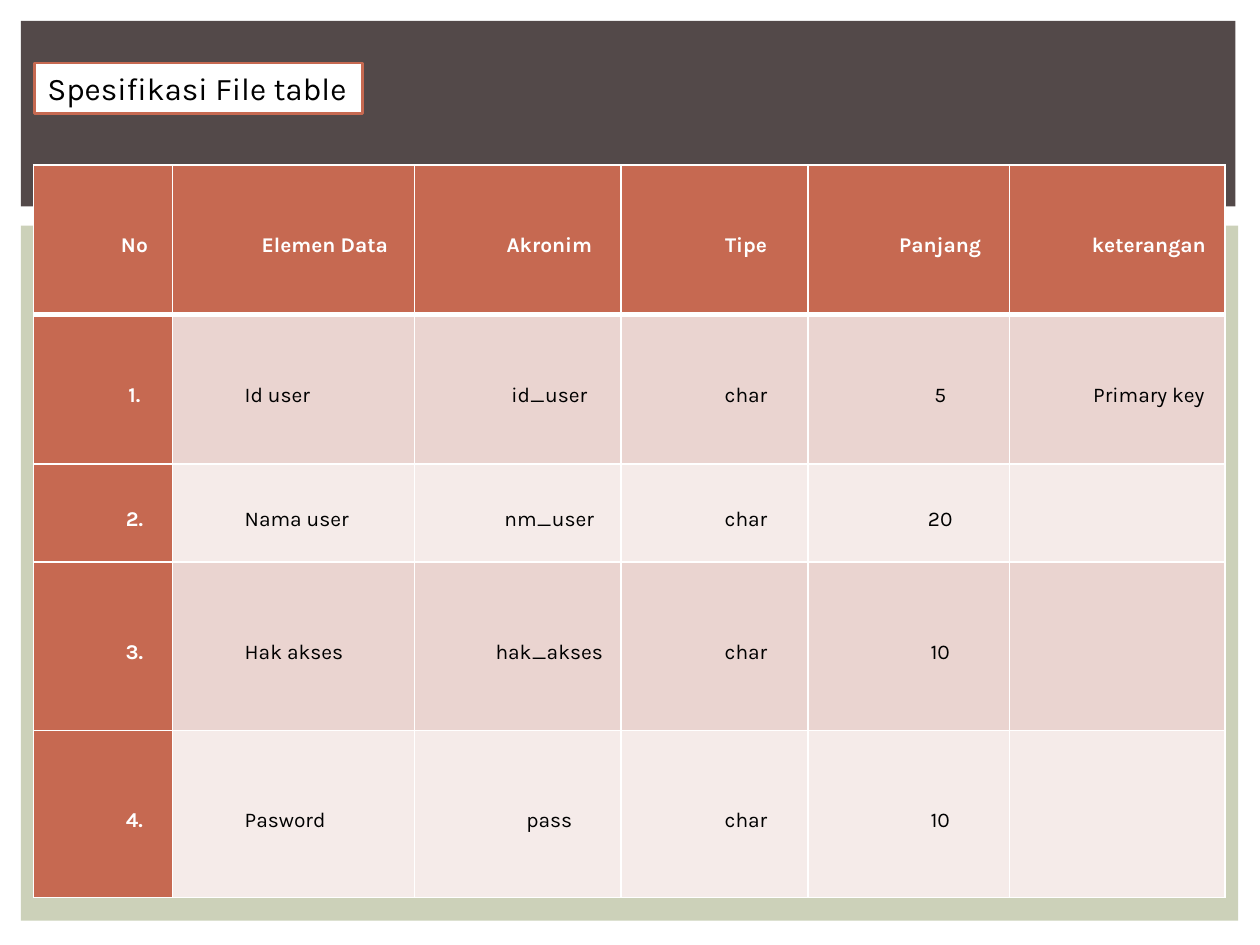
import dataclasses

import pptx
import pptx.dml.color
import pptx.enum.shapes
import pptx.enum.text
import pptx.oxml
import pptx.oxml.ns
import pptx.util

Pt = pptx.util.Pt
RGB = pptx.dml.color.RGBColor.from_string
ALIGN = pptx.enum.text.PP_ALIGN
ANCHOR = pptx.enum.text.MSO_ANCHOR


@dataclasses.dataclass(frozen=True)
class Theme:
    font: str = "Karla"
    title_size: float = 18
    table_size: float = 12
    white: str = "FFFFFF"
    black: str = "000000"
    dark: str = "534949"
    sage: str = "CCD1B9"
    accent: str = "C66951"
    bands: tuple = ("EAD4D0", "F5EBE9")
    thin_border: float = 1
    header_border: float = 3


THEME = Theme()
TITLE = "Spesifikasi File table"
ROWS = [
    ("No", "Elemen Data", "Akronim", "Tipe", "Panjang", "keterangan"),
    ("1.", "Id user", "id_user", "char", "5", "Primary key"),
    ("2.", "Nama user", "nm_user", "char", "20", ""),
    ("3.", "Hak akses", "hak_akses", "char", "10", ""),
    ("4.", "Pasword", "pass", "char", "10", ""),
]
# Shares of the table's width and height
COLUMN_SHARES = (1.1, 1.92, 1.64, 1.48, 1.6, 1.71)
ROW_SHARES = (1.19, 1.19, 0.78, 1.34, 1.33)


def add_run(paragraph, text, size, color, bold=False):
    run = paragraph.add_run()
    run.text = text
    run.font.name = THEME.font
    run.font.size = Pt(size)
    run.font.bold = bold
    run.font.color.rgb = RGB(color)


def add_panel(slide, box, color):
    panel = slide.shapes.add_shape(
        pptx.enum.shapes.MSO_SHAPE.RECTANGLE, *map(Pt, box))
    panel.shadow.inherit = False
    panel.fill.solid()
    panel.fill.fore_color.rgb = RGB(color)
    panel.line.fill.background()


def place_title(slide, box):
    """Format the title placeholder and bring it in front of the panels."""
    title = slide.shapes.title
    title.left, title.top, title.width, title.height = map(Pt, box)
    title.fill.solid()
    title.fill.fore_color.rgb = RGB(THEME.white)
    title.line.color.rgb = RGB(THEME.accent)
    title.line.width = Pt(1.5)
    frame = title.text_frame
    frame.word_wrap = True
    frame.auto_size = pptx.enum.text.MSO_AUTO_SIZE.NONE
    frame.vertical_anchor = ANCHOR.TOP
    paragraph = frame.paragraphs[0]
    paragraph.alignment = ALIGN.LEFT
    add_run(paragraph, TITLE, THEME.title_size, THEME.black)
    title.element.getparent().append(title.element)


def set_borders(cell, widths):
    """Draw white borders, with widths in points for left, right, top, bottom."""
    properties = cell._tc.get_or_add_tcPr()
    for index, (side, width) in enumerate(zip("LRTB", widths)):
        properties.insert(index, pptx.oxml.parse_xml(
            f'<a:ln{side} {pptx.oxml.ns.nsdecls("a")} w="{Pt(width)}">'
            f'<a:solidFill><a:srgbClr val="{THEME.white}"/></a:solidFill>'
            f'</a:ln{side}>'))


def format_cell(cell, text, row, column):
    heading = row == 0 or column == 0
    cell.fill.solid()
    cell.fill.fore_color.rgb = RGB(
        THEME.accent if heading else THEME.bands[(row - 1) % 2])
    thin, thick = THEME.thin_border, THEME.header_border
    set_borders(cell, (thin, thin, thick if row == 1 else thin,
                       thick if row == 0 else thin))
    cell.vertical_anchor = ANCHOR.MIDDLE
    cell.margin_left = cell.margin_right = Pt(5.4)
    cell.margin_top = cell.margin_bottom = 0
    if not text:
        return
    paragraph = cell.text_frame.paragraphs[0]
    paragraph.alignment = (
        ALIGN.LEFT if column == 1 and row > 0 else ALIGN.CENTER)
    paragraph.line_spacing = 1.5
    paragraph._p.get_or_add_pPr().set("marL", str(Pt(36)))
    add_run(paragraph, text, THEME.table_size,
            THEME.white if heading else THEME.black, heading)


def add_specification_table(slide, box):
    table = slide.shapes.add_table(
        len(ROWS), len(ROWS[0]), *map(Pt, box)).table
    for column, share in zip(table.columns, COLUMN_SHARES):
        column.width = Pt(box[2] * share / sum(COLUMN_SHARES))
    for row, share in zip(table.rows, ROW_SHARES):
        row.height = Pt(box[3] * share / sum(ROW_SHARES))
    for row, texts in enumerate(ROWS):
        for column, text in enumerate(texts):
            format_cell(table.cell(row, column), text, row, column)


def main():
    presentation = pptx.Presentation()
    presentation.slide_width, presentation.slide_height = Pt(720), Pt(540)
    slide = presentation.slides.add_slide(presentation.slide_layouts[5])
    add_panel(slide, (12, 128.9, 695.5, 397.3), THEME.sage)
    add_panel(slide, (12, 12, 694, 106), THEME.dark)
    add_specification_table(slide, (19.2, 94.3, 681, 418.7))
    place_title(slide, (19.8, 36, 187.2, 29))
    presentation.save("out.pptx")


if __name__ == "__main__":
    main()
